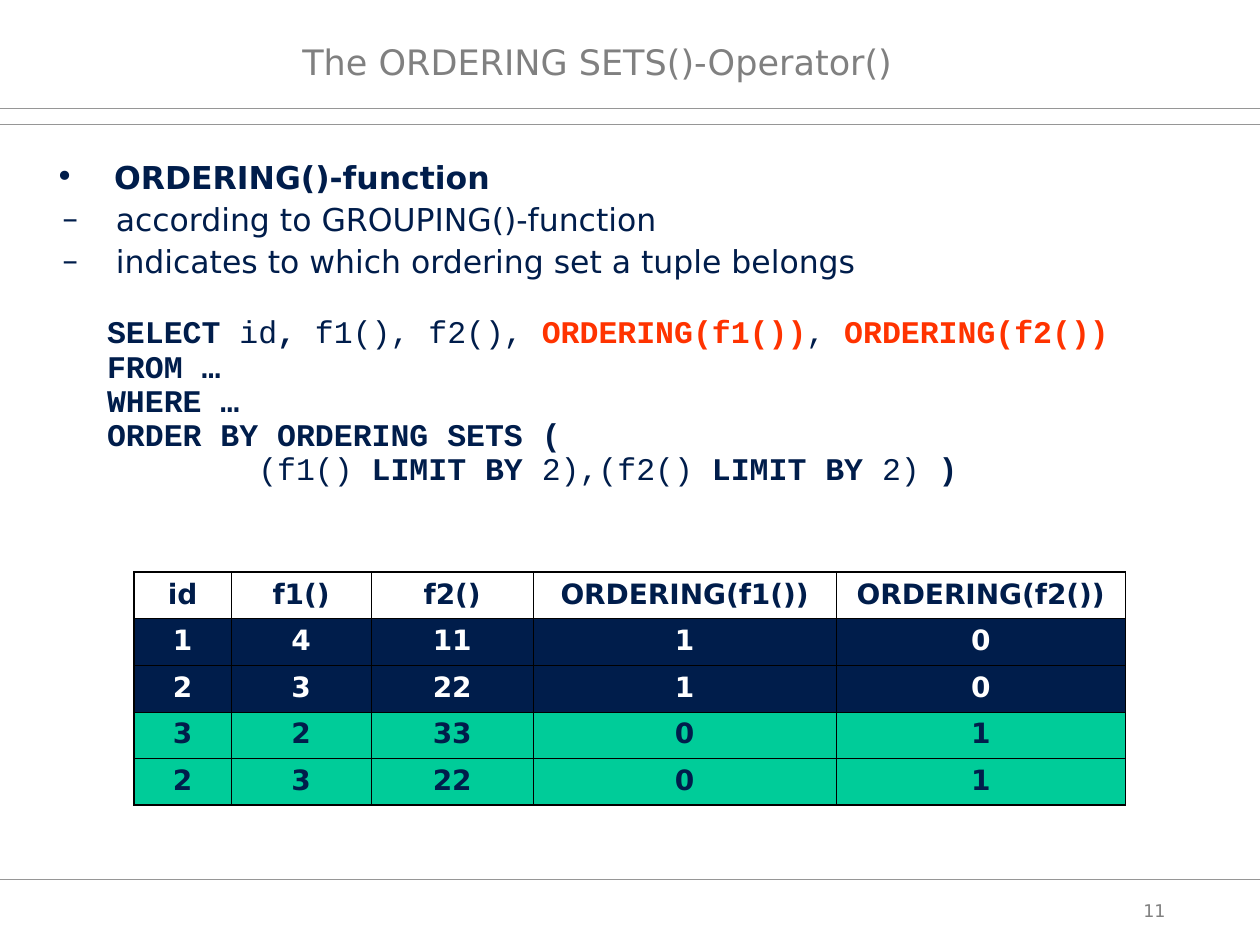
import dataclasses

import lxml.etree
import pptx
import pptx.dml.color
import pptx.enum.shapes
import pptx.enum.text
import pptx.oxml.ns
import pptx.util

Pt = pptx.util.Pt
qn = pptx.oxml.ns.qn
ALIGN = pptx.enum.text.PP_ALIGN
ANCHOR = pptx.enum.text.MSO_ANCHOR


@dataclasses.dataclass(frozen=True)
class Theme:
    navy: str = "001D4B"
    green: str = "00CC99"
    red: str = "FF3300"
    gray: str = "808080"
    rule: str = "969696"
    white: str = "FFFFFF"
    black: str = "000000"
    font: str = "DejaVu Sans"
    code_font: str = "Courier New"
    title_size: float = 20
    body_size: float = 18
    table_size: float = 16
    number_size: float = 10
    line_pitch: float = 19.5
    inner_border: float = 0.45
    outer_border: float = 1.08


THEME = Theme()
SLIDE_WIDTH, SLIDE_HEIGHT = 720, 540
RULES = (62, 71.3, 502.5)

# Bullet text, bold, bullet sign, left margin, hanging indent, space before
BULLETS = [
    ("ORDERING()-function", True, "•", 40, -33.5, 0),
    ("according to GROUPING()-function", False, "–", 41, -30.5, 4.5),
    ("indicates to which ordering set a tuple belongs", False, "–", 41, -30.5, 4.5),
]

# Runs of each code line: plain, keyword or highlighted
PLAIN = dict(bold=False)
KEYWORD = dict(bold=True)
HIGHLIGHT = dict(bold=True, color=THEME.red)
CODE_MARGIN, CODE_NESTED_MARGIN, CODE_GAP = 36, 122.4, 21
CODE = [
    [("SELECT ", KEYWORD), ("id", PLAIN), (", ", KEYWORD), ("f1(), f2(), ", PLAIN),
     ("ORDERING(f1())", HIGHLIGHT), (", ", PLAIN), ("ORDERING(f2())", HIGHLIGHT)],
    [("FROM …", KEYWORD)],
    [("WHERE …", KEYWORD)],
    [("ORDER BY ORDERING SETS (", KEYWORD)],
    [("(f1() ", PLAIN), ("LIMIT BY", KEYWORD), (" 2),(f2() ", PLAIN),
     ("LIMIT BY", KEYWORD), (" 2)", PLAIN), (" )", KEYWORD)],
]

COLUMN_WIDTHS = (55.5, 80, 92.7, 173, 165.4)
ROW_HEIGHT = 26.6
ROWS = [
    ("id", "f1()", "f2()", "ORDERING(f1())", "ORDERING(f2())"),
    ("1", "4", "11", "1", "0"),
    ("2", "3", "22", "1", "0"),
    ("3", "2", "33", "0", "1"),
    ("2", "3", "22", "0", "1"),
]
# Fill and text colour of each row
ROW_COLORS = [(None, THEME.navy)] + [(THEME.navy, THEME.white)] * 2 + [(THEME.green, THEME.navy)] * 2


def rgb(color):
    return pptx.dml.color.RGBColor.from_string(color)


def add_text(paragraph, text, *, size=THEME.body_size, color=THEME.navy,
             font=THEME.font, bold=False):
    run = paragraph.add_run()
    run.text = text
    run.font.name = font
    run.font.size = Pt(size)
    run.font.bold = bold
    run.font.color.rgb = rgb(color)


def add_text_frame(slide, left, top, width, height, insets=(0, 3.6, 7.2, 3.6), anchor=ANCHOR.TOP):
    frame = slide.shapes.add_textbox(Pt(left), Pt(top), Pt(width), Pt(height)).text_frame
    frame.word_wrap = True
    frame.vertical_anchor = anchor
    frame.margin_left, frame.margin_top, frame.margin_right, frame.margin_bottom = map(Pt, insets)
    return frame


def add_rule(slide, top):
    connector = slide.shapes.add_connector(
        pptx.enum.shapes.MSO_CONNECTOR.STRAIGHT, 0, Pt(top), Pt(SLIDE_WIDTH), Pt(top))
    connector.line.color.rgb = rgb(THEME.rule)
    connector.line.width = Pt(0.5)
    lxml.etree.SubElement(connector.element.spPr, qn("a:effectLst"))


def format_paragraph(paragraph, margin, indent=0, space_before=0, bullet=None):
    paragraph.line_spacing = Pt(THEME.line_pitch)
    paragraph.space_before = Pt(space_before)
    properties = paragraph._p.get_or_add_pPr()
    properties.set("marL", str(Pt(margin)))
    properties.set("indent", str(Pt(indent)))
    if bullet:
        bullet_color = lxml.etree.SubElement(properties, qn("a:buClr"))
        lxml.etree.SubElement(bullet_color, qn("a:srgbClr"), val=THEME.navy)
        lxml.etree.SubElement(properties, qn("a:buFont"), typeface=THEME.font)
        lxml.etree.SubElement(properties, qn("a:buChar"), char=bullet)


def add_body(slide):
    frame = add_text_frame(slide, 25.2, 88.6, 674.6, 203.8)
    paragraphs = [frame.paragraphs[0]]
    paragraphs += [frame.add_paragraph() for _ in range(len(BULLETS) + len(CODE) - 1)]
    # Bullets
    for paragraph, (text, bold, bullet, margin, indent, gap) in zip(paragraphs, BULLETS):
        format_paragraph(paragraph, margin, indent, gap, bullet)
        add_text(paragraph, text, bold=bold)
    # Query
    for index, (paragraph, runs) in enumerate(zip(paragraphs[len(BULLETS):], CODE)):
        nested = index == len(CODE) - 1
        format_paragraph(paragraph, CODE_NESTED_MARGIN if nested else CODE_MARGIN,
                         space_before=0 if index else CODE_GAP)
        for text, style in runs:
            add_text(paragraph, text, font=THEME.code_font, **style)


def set_borders(cell, outer_sides):
    properties = cell._tc.get_or_add_tcPr()
    for side in "LRTB":
        width = THEME.outer_border if side in outer_sides else THEME.inner_border
        line = lxml.etree.SubElement(properties, qn(f"a:ln{side}"), w=str(Pt(width)))
        fill = lxml.etree.SubElement(line, qn("a:solidFill"))
        lxml.etree.SubElement(fill, qn("a:srgbClr"), val=THEME.black)


def add_result_table(slide):
    last_row, last_column = len(ROWS) - 1, len(COLUMN_WIDTHS) - 1
    table = slide.shapes.add_table(
        len(ROWS), len(COLUMN_WIDTHS), Pt(76.6), Pt(327),
        Pt(sum(COLUMN_WIDTHS)), Pt(ROW_HEIGHT * len(ROWS))).table
    table.first_row = table.horz_banding = False
    for column, width in zip(table.columns, COLUMN_WIDTHS):
        column.width = Pt(width)
    for row_index, (values, (fill, color)) in enumerate(zip(ROWS, ROW_COLORS)):
        table.rows[row_index].height = Pt(ROW_HEIGHT)
        for column_index, value in enumerate(values):
            cell = table.cell(row_index, column_index)
            edges = {"L": column_index == 0, "R": column_index == last_column,
                     "T": row_index == 0, "B": row_index == last_row}
            set_borders(cell, [side for side, is_outer in edges.items() if is_outer])
            if fill:
                cell.fill.solid()
                cell.fill.fore_color.rgb = rgb(fill)
            else:
                cell.fill.background()
            paragraph = cell.text_frame.paragraphs[0]
            paragraph.alignment = ALIGN.CENTER
            add_text(paragraph, value, size=THEME.table_size, color=color, bold=True)


def main():
    presentation = pptx.Presentation()
    presentation.slide_width, presentation.slide_height = Pt(SLIDE_WIDTH), Pt(SLIDE_HEIGHT)
    slide = presentation.slides.add_slide(presentation.slide_layouts[6])

    # Header and footer rules
    for top in RULES:
        add_rule(slide, top)

    # Title
    title = add_text_frame(slide, 172.8, 20.2, 522.7, 30.2, anchor=ANCHOR.MIDDLE)
    add_text(title.paragraphs[0], "The ORDERING SETS()-Operator()",
             size=THEME.title_size, color=THEME.gray)

    # Content
    add_body(slide)
    add_result_table(slide)

    # Page number
    number = add_text_frame(slide, 516.2, 514, 149.8, 18, insets=(0, 0, 0, 0))
    number.paragraphs[0].alignment = ALIGN.RIGHT
    add_text(number.paragraphs[0], "11", size=THEME.number_size, color=THEME.gray)

    presentation.save("out.pptx")


if __name__ == "__main__":
    main()
